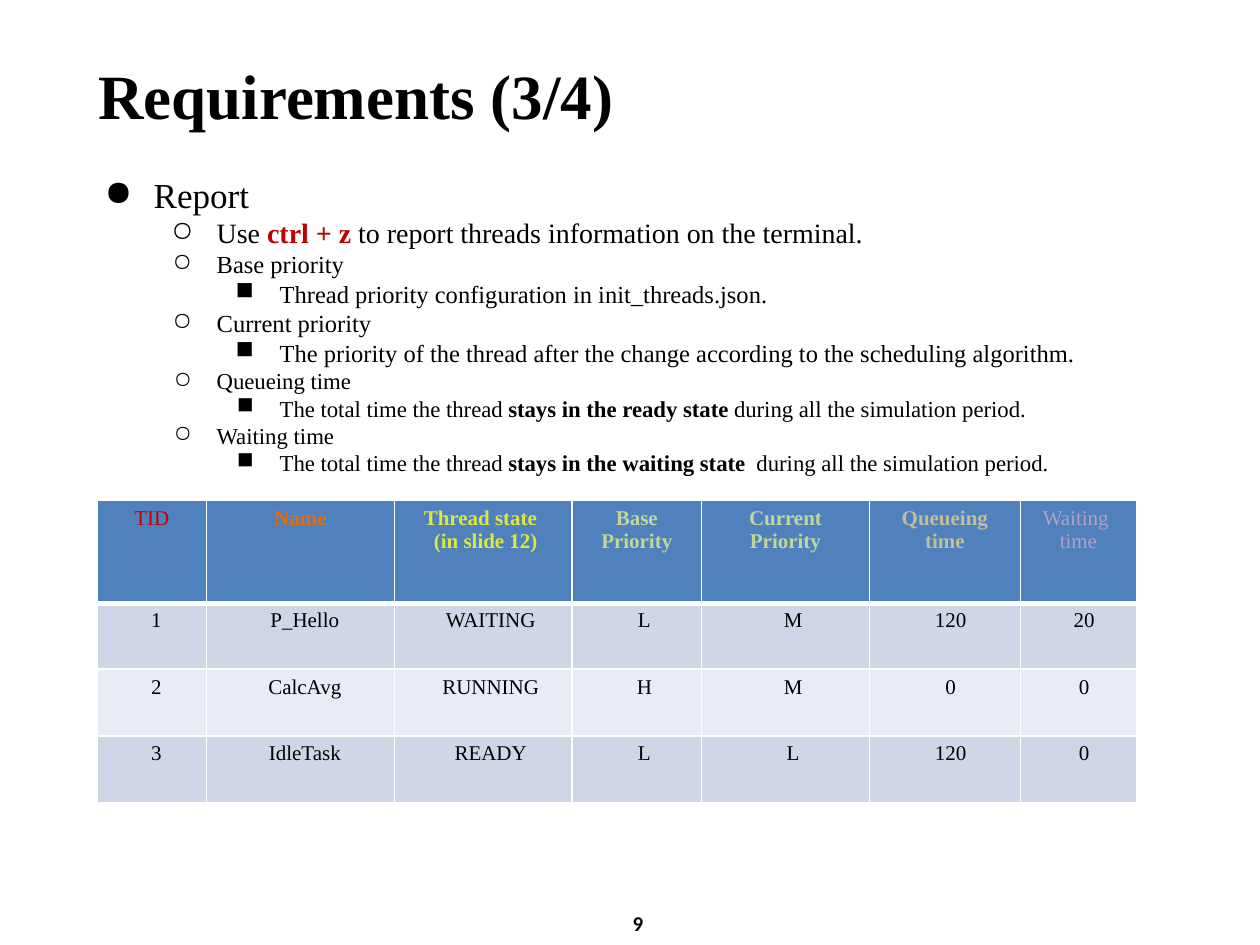
"""Build the slide on the thread report requirements."""
import pptx
import pptx.dml.color
import pptx.enum.text
import pptx.oxml.ns
import pptx.util
from lxml import etree

SERIF = "Times New Roman"
COLORS = {
    "black": "000000", "white": "FFFFFF", "red": "C00000", "orange": "E36C09",
    "yellow": "E0E640", "green": "C2D59B", "tan": "C4BD97", "lilac": "B2A0C7",
    "header": "4F81BD", "odd": "CFD7E7", "even": "E8ECF4",
}
TITLE = "Requirements (3/4)"
PAGE = "9"
# level, size, runs of (text, colour, bold)
REPORT = [
    (0, 20, [("Report", "black", False)]),
    (1, 16, [("Use", "black", False), (" ctrl + z", "red", True),
             (" to report threads information on the terminal.", "black", False)]),
    (1, 14, [("Base priority", "black", False)]),
    (2, 14, [("Thread priority configuration in init_threads.json.", "black", False)]),
    (1, 14, [("Current priority", "black", False)]),
    (2, 14, [("The priority of the thread after the change according to the "
              "scheduling algorithm.", "black", False)]),
    (1, 13, [("Queueing time", "black", False)]),
    (2, 13, [("The total time the thread ", "black", False),
             ("stays in the ready state ", "black", True),
             ("during all the simulation period.", "black", False)]),
    (1, 13, [("Waiting time", "black", False)]),
    (2, 13, [("The total time the thread ", "black", False),
             ("stays in the waiting state  ", "black", True),
             ("during all the simulation period.", "black", False)]),
]
BULLETS = "●○■"
HANGING = {20: 0.39, 16: 0.36, 14: 0.35, 13: 0.34}
# heading, colour, bold, width, indent of the values
COLUMNS = [
    ("TID", "red", False, 0.87, 0.07),
    ("Name", "orange", True, 1.49, 0.07),
    ("Thread state \n (in slide 12)", "yellow", True, 1.41, 0.12),
    ("Base Priority", "green", True, 1.03, 0.12),
    ("Current Priority", "green", True, 1.33, 0.12),
    ("Queueing time", "tan", True, 1.2, 0.09),
    ("Waiting \ntime", "lilac", False, 0.92, 0.09),
]
THREADS = [
    ("1", "P_Hello", "WAITING", "L", "M", "120", "20"),
    ("2", "CalcAvg", "RUNNING", "H", "M", "0", "0"),
    ("3", "IdleTask", "READY", "L", "L", "120", "0"),
]
ROW_HEIGHTS = [0.82, 0.52, 0.53, 0.53]
ROW_SPACING = [1, 1.23, 1.28, 1.28]

inch = pptx.util.Inches


def rgb(color):
    return pptx.dml.color.RGBColor.from_string(COLORS[color])


def style(run, size, color="black", bold=False, face=SERIF):
    run.font.size = pptx.util.Pt(size)
    run.font.name = face
    run.font.bold = bold
    run.font.color.rgb = rgb(color)


def child(parent, tag, **attributes):
    return etree.SubElement(parent, pptx.oxml.ns.qn(tag), attributes)


def indent(paragraph, left, first=0):
    properties = paragraph._p.get_or_add_pPr()
    properties.set("marL", str(inch(left)))
    properties.set("indent", str(inch(first)))
    return properties


def add_text(slide, place, top_inset=0.01, wrap=True):
    frame = slide.shapes.add_textbox(*map(inch, place)).text_frame
    frame.word_wrap = wrap
    frame.margin_left = frame.margin_right = frame.margin_bottom = 0
    frame.margin_top = inch(top_inset)
    return frame


def add_report(slide):
    frame = add_text(slide, (0.72, 1.37, 9.03, 3.16))
    for number, (level, size, parts) in enumerate(REPORT):
        line = frame.add_paragraph() if number else frame.paragraphs[0]
        line.level = level
        properties = indent(line, 0.5 * (level + 1), -HANGING[size])
        child(child(properties, "a:buClr"), "a:srgbClr", val=COLORS["black"])
        child(properties, "a:buChar", char=BULLETS[level])
        for text, color, bold in parts:
            run = line.add_run()
            run.text = text
            style(run, size, color, bold)


def add_borders(cell, row):
    properties = cell._tc.get_or_add_tcPr()
    widths = {"L": 1, "R": 1, "T": 3 if row == 1 else 1, "B": 3 if row == 0 else 1}
    for side, width in widths.items():
        border = child(properties, "a:ln" + side, w=str(pptx.util.Pt(width)))
        child(child(border, "a:solidFill"), "a:srgbClr", val=COLORS["white"])


def add_threads(slide):
    widths = [column[3] for column in COLUMNS]
    table = slide.shapes.add_table(
        len(ROW_HEIGHTS), len(COLUMNS), inch(0.77), inch(3.97),
        inch(sum(widths)), inch(sum(ROW_HEIGHTS))).table
    for column, width in zip(table.columns, widths):
        column.width = inch(width)
    for row, values in enumerate([[column[0] for column in COLUMNS]] + THREADS):
        table.rows[row].height = inch(ROW_HEIGHTS[row])
        for place, (value, column) in enumerate(zip(values, COLUMNS)):
            _, color, bold, _, left = column
            cell = table.cell(row, place)
            add_borders(cell, row)
            cell.fill.solid()
            cell.fill.fore_color.rgb = rgb(
                "header" if row == 0 else "odd" if row % 2 else "even")
            cell.margin_left = cell.margin_right = inch(0 if row else 0.1)
            cell.margin_top = cell.margin_bottom = inch(0 if row else 0.05)
            line = cell.text_frame.paragraphs[0]
            line.text = value
            line.alignment = pptx.enum.text.PP_ALIGN.CENTER
            line.line_spacing = ROW_SPACING[row]
            indent(line, left if row else 0)
            for run in line.runs:
                style(run, 12, "black" if row else color, not row and bold)


def main():
    deck = pptx.Presentation()
    deck.slide_width, deck.slide_height = inch(10), inch(7.5)
    slide = deck.slides.add_slide(deck.slide_layouts[6])

    title = add_text(slide, (0.77, 0.44, 4.12, 0.63), wrap=False)
    title.text = TITLE
    indent(title.paragraphs[0], 0.01)
    style(title.paragraphs[0].runs[0], 36, bold=True)

    add_report(slide)
    add_threads(slide)

    page = add_text(slide, (4.98, 7.22, 0.18, 0.2), top_inset=0)
    page.text = PAGE
    page.paragraphs[0].line_spacing = 1.03
    indent(page.paragraphs[0], 0.04)
    style(page.paragraphs[0].runs[0], 12, bold=True, face="Calibri")

    deck.save("out.pptx")


if __name__ == "__main__":
    main()
